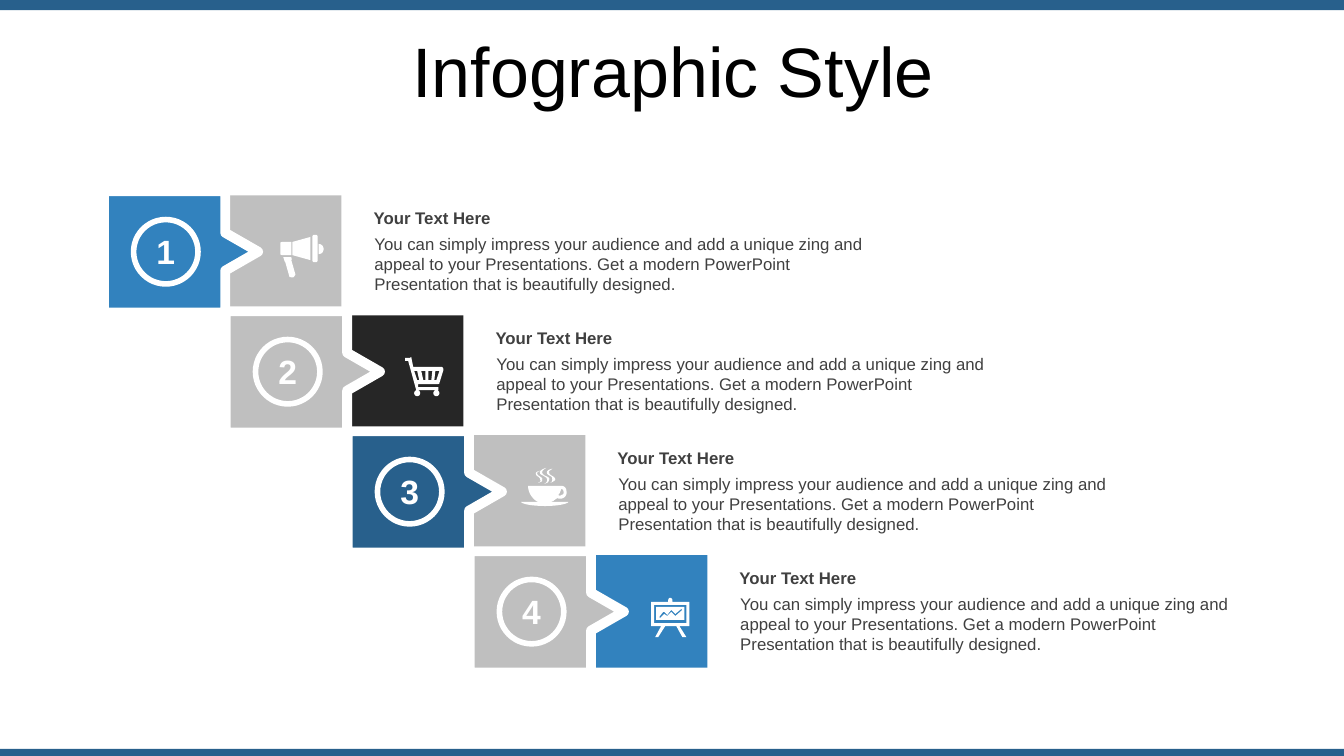
from dataclasses import dataclass
from math import cos, radians, sin

from pptx import Presentation
from pptx.dml.color import RGBColor
from pptx.enum.shapes import MSO_SHAPE
from pptx.enum.text import MSO_ANCHOR, MSO_AUTO_SIZE, PP_ALIGN
from pptx.util import Pt

RECTANGLE, OVAL = MSO_SHAPE.RECTANGLE, MSO_SHAPE.OVAL
LEFT, CENTER = PP_ALIGN.LEFT, PP_ALIGN.CENTER
MIDDLE = MSO_ANCHOR.MIDDLE
NO_AUTOFIT = MSO_AUTO_SIZE.NONE

NAVY = RGBColor(0x28, 0x60, 0x8C)
BLUE = RGBColor(0x32, 0x82, 0xBE)
GREY = RGBColor(0xBF, 0xBF, 0xBF)
CHARCOAL = RGBColor(0x26, 0x26, 0x26)
TEXT_GREY = RGBColor(0x40, 0x40, 0x40)
BLACK = RGBColor(0, 0, 0)
WHITE = RGBColor(0xFF, 0xFF, 0xFF)

SLIDE_WIDTH, SLIDE_HEIGHT = 960, 540
ICON_UNIT = 0.72  # points per step of the icon grid
STEP_X, STEP_Y = 87.1, 85.7
FIRST_LEFT, FIRST_TOP = 74.2, 136.6

HEADING = "Your Text Here"
DESCRIPTION = (
    "You can simply impress your audience and add a unique zing and appeal to your "
    "Presentations. Get a modern PowerPoint Presentation that is beautifully designed."
)
ARROW_TILE = [(0, 0), (86.7, 0), (86.7, 29.7), (110.2, 43.2), (86.7, 56.7),
              (86.7, 86.6), (0, 86.6)]


def circle(x, y, radius):
    return [(x + radius * cos(radians(a)), y + radius * sin(radians(a)))
            for a in range(0, 360, 15)]


def flatten(contour):
    """Turn each six-number Bezier step of a contour into short straight steps."""
    points = []
    for step in contour:
        if len(step) == 2:
            points.append(step)
            continue
        x0, y0 = points[-1]
        x1, y1, x2, y2, x3, y3 = step
        for i in range(1, 9):
            t = i / 8
            a, b, c, d = (1 - t) ** 3, 3 * t * (1 - t) ** 2, 3 * t * t * (1 - t), t ** 3
            points.append((a * x0 + b * x1 + c * x2 + d * x3,
                           a * y0 + b * y1 + c * y2 + d * y3))
    return points


# Icon outlines: two numbers are a line to a point, six are a Bezier curve.
MEGAPHONE = [
    [(11, 22), (11, 23), (12, 24, 11, 25, 11, 25), (15, 39), (15, 40, 14, 41, 13, 42),
     (11, 42), (10, 42, 9, 42, 9, 41), (5, 27), (5, 27, 4, 26, 4, 25), (3, 22)],
    [(38, 9), (41, 9, 43, 11, 43, 14), (43, 17, 41, 19, 38, 19)],
    [(2, 7), (11, 7), (11, 20), (2, 20), (0, 20, 0, 19, 0, 18), (0, 9),
     (0, 8, 0, 7, 2, 7)],
    [(30, 2), (30, 25), (12, 20), (12, 7)],
    [(33, 0), (36, 0), (37, 1), (37, 26), (36, 27), (33, 27), (32, 26), (32, 1)],
]
CART = [
    [(6, 0), (8, 10), (36, 10), (37, 10, 38, 11, 38, 13), (34, 26),
     (34, 27, 33, 27, 32, 27), (13, 27), (13, 30), (33, 30), (33, 33), (11, 33),
     (3, 4), (0, 4), (0, 1), (5, 1)],
    [(30, 14), (29, 23), (31, 23), (34, 14)],
    [(23, 14), (23, 23), (26, 23), (27, 14)],
    [(16, 14), (18, 23), (20, 23), (20, 14)],
    [(9, 14), (12, 23), (14, 23), (12, 14)],
    circle(12, 36, 3),
    circle(31, 36, 3),
]
CUP = [
    [(40, 18), (43, 18, 45, 20, 45, 23), (46, 26, 44, 29, 42, 30),
     (40, 31, 37, 31, 36, 30), (35, 31, 33, 32, 32, 33), (31, 33, 30, 34, 29, 34),
     (47, 34), (46, 36, 36, 38, 24, 38), (11, 38, 1, 36, 0, 34), (18, 34),
     (17, 34, 16, 33, 15, 33), (10, 29, 7, 24, 7, 18)],
    [(40, 21), (39, 23, 39, 25, 37, 27), (38, 28, 39, 28, 40, 27),
     (42, 27, 43, 25, 42, 23), (42, 22, 41, 21, 40, 21)],
    [(19, 3), (17, 4, 16, 4, 16, 6), (17, 9, 22, 9, 21, 12), (21, 14, 20, 14, 17, 15),
     (19, 14, 20, 13, 19, 12), (19, 9, 16, 9, 15, 7), (14, 5, 15, 4, 19, 3)],
    [(31, 1), (29, 3, 27, 3, 28, 5), (28, 8, 34, 8, 34, 12), (33, 13, 32, 14, 29, 15),
     (31, 14, 31, 13, 31, 11), (31, 8, 27, 8, 26, 6), (25, 4, 26, 2, 31, 1)],
    [(25, 0), (23, 2, 21, 2, 21, 5), (22, 9, 29, 8, 28, 12), (27, 15, 26, 15, 23, 16),
     (25, 15, 26, 14, 26, 12), (26, 9, 21, 8, 19, 6), (18, 3, 20, 2, 25, 0)],
]
EASEL = [
    [(19, 0), (20, 0, 21, 1, 21, 2), (21, 4), (38, 4), (38, 28), (28, 28), (35, 39),
     (31, 39), (25, 28), (14, 28), (7, 39), (4, 39), (10, 28), (0, 28), (0, 4),
     (17, 4), (17, 2), (17, 1, 18, 0, 19, 0)],
    [(3, 7), (3, 25), (35, 25), (35, 7)],
    [(5, 9), (33, 9), (33, 22), (5, 22)],
    [(8, 19), (12, 14), (13, 14), (16, 17), (20, 12), (24, 16), (30, 11), (31, 12),
     (24, 18), (20, 14), (16, 18), (13, 16), (9, 20)],
]

# Arrow colour, square colour, icon outlines, icon left and top
STEPS = [
    (BLUE, GREY, MEGAPHONE, 200.2, 167.8),
    (GREY, CHARCOAL, CART, 289.4, 254.9),
    (NAVY, GREY, CUP, 372.2, 334.1),
    (GREY, BLUE, EASEL, 465.1, 427),
]


@dataclass
class Board:
    slide: object
    font: str = "Arial"

    def paint(self, shape, fill=None, line=None, weight=0):
        shape.shadow.inherit = False
        if fill is None:
            shape.fill.background()
        else:
            shape.fill.solid()
            shape.fill.fore_color.rgb = fill
        if line is None:
            shape.line.fill.background()
        else:
            shape.line.color.rgb = line
            shape.line.width = Pt(weight)

    def shape(self, kind, left, top, width, height, **paint):
        shape = self.slide.shapes.add_shape(kind, Pt(left), Pt(top), Pt(width), Pt(height))
        self.paint(shape, **paint)

    def outline(self, contours, left, top, unit=1, **paint):
        """Draw closed contours as one shape; inner contours become holes."""
        scaled = [[(Pt(x * unit), Pt(y * unit)) for x, y in flatten(contour)]
                  for contour in contours]
        builder = self.slide.shapes.build_freeform(*scaled[0][0])
        builder.add_line_segments(scaled[0][1:], close=True)
        for contour in scaled[1:]:
            builder.move_to(*contour[0])
            builder.add_line_segments(contour[1:], close=True)
        self.paint(builder.convert_to_shape(Pt(left), Pt(top)), **paint)

    def fill_paragraph(self, paragraph, text, size, color, bold=False, align=LEFT):
        paragraph.text = text
        paragraph.alignment = align
        font = paragraph.font
        font.name, font.size, font.bold = self.font, Pt(size), bold
        font.color.rgb = color

    def text(self, text, left, top, width, height, size, color, wrap=True, **style):
        box = self.slide.shapes.add_textbox(Pt(left), Pt(top), Pt(width), Pt(height))
        box.text_frame.word_wrap = wrap
        self.fill_paragraph(box.text_frame.paragraphs[0], text, size, color, **style)

    def title(self, text, left, top, width, height):
        title = self.slide.shapes.title
        title.left, title.top, title.width, title.height = map(Pt, (left, top, width, height))
        frame = title.text_frame
        frame.auto_size, frame.vertical_anchor = NO_AUTOFIT, MIDDLE
        self.fill_paragraph(frame.paragraphs[0], text, 50, BLACK, align=CENTER)
        frame.paragraphs[0].line_spacing = 0.8

    def step(self, index, arrow_color, square_color, icon, icon_left, icon_top):
        left, top = FIRST_LEFT + index * STEP_X, FIRST_TOP + index * STEP_Y
        self.shape(RECTANGLE, left + 89.4, top + 2.9, 80.4, 80.4, fill=square_color)
        self.outline([ARROW_TILE], left, top, fill=arrow_color, line=WHITE, weight=7)
        self.shape(OVAL, left + 21.2, top + 20.2, 46, 46, line=WHITE, weight=4)
        self.text(str(index + 1), left + 30.4, top + 25, 27.6, 36, 24, WHITE,
                  wrap=False, bold=True, align=CENTER)
        self.text(DESCRIPTION, left + 186.2, top + 26.5, 371, 51, 12, TEXT_GREY)
        self.text(HEADING, left + 185.6, top + 8.5, 371, 22, 12, TEXT_GREY, bold=True)
        self.outline(icon, icon_left, icon_top, ICON_UNIT, fill=WHITE)


def main():
    deck = Presentation()
    deck.slide_width, deck.slide_height = Pt(SLIDE_WIDTH), Pt(SLIDE_HEIGHT)
    board = Board(deck.slides.add_slide(deck.slide_layouts[5]))
    board.shape(RECTANGLE, 0, 0, SLIDE_WIDTH, 7.2, fill=NAVY)
    board.shape(RECTANGLE, 0, 535, SLIDE_WIDTH, 5, fill=NAVY)
    board.title("Infographic Style", 25.2, 26.6, 911.5, 56.9)
    for index, step in enumerate(STEPS):
        board.step(index, *step)
    deck.save("out.pptx")


if __name__ == "__main__":
    main()
